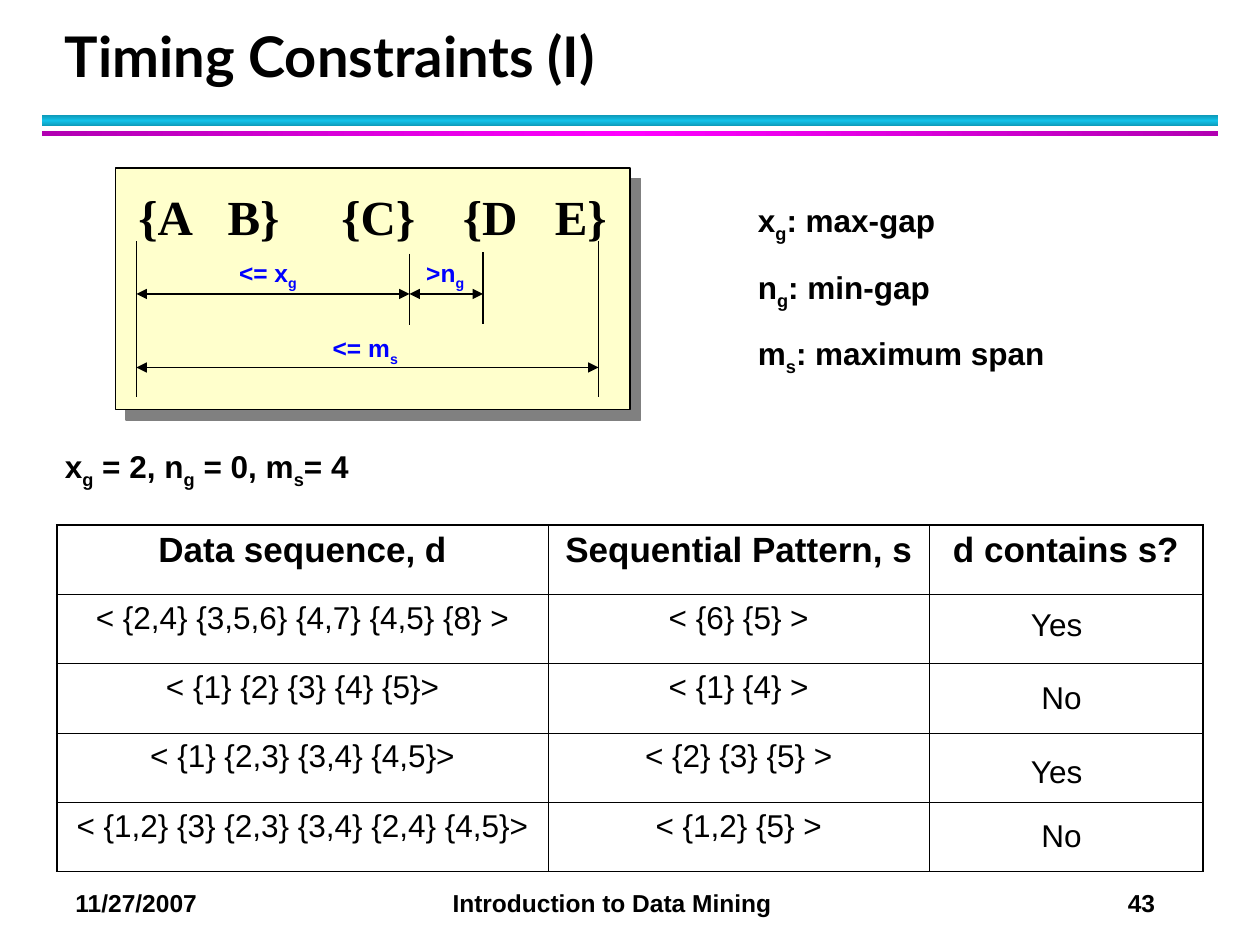
from dataclasses import dataclass

from pptx import Presentation
from pptx.dml.color import RGBColor
from pptx.enum import shapes, text
from pptx.oxml import parse_xml
from pptx.oxml.ns import nsdecls
from pptx.util import Pt


@dataclass(frozen=True)
class Theme:
    black: str = "000000"
    blue: str = "0000FF"
    cream: str = "FFFFCC"
    gray: str = "808080"
    cyan: tuple = ("0E9BBA", "12C2E9")
    magenta: tuple = ("B200B2", "FF00FF")
    title_font: str = "Lato"
    body_font: str = "Arial"
    pattern_font: str = "Times New Roman"
    title: int = 32
    pattern: int = 28
    header: int = 20
    body: int = 18
    small: int = 14
    line: float = 0.75
    outer_border: float = 1.08
    inner_border: float = 0.45


def element(xml):
    """Parse one drawing element, adding the namespace to its first tag."""
    tag, rest = xml.split(" ", 1)
    return parse_xml(f"{tag} {nsdecls('a')} {rest}")


class SlideBuilder:
    def __init__(self, page, theme):
        self.page = page
        self.theme = theme

    def fill_para(self, para, content, size, color=None, font=None, bold=True, tabs=()):
        """Fill a paragraph; every second part between bars is a subscript."""
        if tabs:
            stops = "".join(f'<a:tab pos="{Pt(x)}" algn="{align}"/>' for x, align in tabs)
            para._p.get_or_add_pPr().append(element(f"<a:tabLst >{stops}</a:tabLst>"))
        for index, part in enumerate(content.split("|")):
            span = para.add_run()
            span.text = part
            span.font.size = Pt(size)
            span.font.bold = bold
            span.font.name = font or self.theme.body_font
            span.font.color.rgb = RGBColor.from_string(color or self.theme.black)
            if index % 2:
                span._r.get_or_add_rPr().set("baseline", "-25000")

    def text(self, area, lines, size, fill=None, wrap=True, gap=0, **style):
        box = self.page.shapes.add_textbox(*map(Pt, area))
        frame = box.text_frame
        frame.word_wrap = wrap
        if fill:
            box.fill.solid()
            box.fill.fore_color.rgb = RGBColor.from_string(fill)
        for index, content in enumerate(lines):
            para = frame.add_paragraph() if index else frame.paragraphs[0]
            para.space_before = Pt(gap if index else 0)
            self.fill_para(para, content, size, **style)
        return box

    def band(self, area, colors, angle):
        bar = self.page.shapes.add_shape(shapes.MSO_SHAPE.RECTANGLE, *map(Pt, area))
        bar.shadow.inherit = False
        bar.line.fill.background()
        edge, middle = colors
        stops = "".join(
            f'<a:gs pos="{place}"><a:srgbClr val="{color}"/></a:gs>'
            for place, color in ((0, edge), (50000, middle), (100000, edge)))
        bar.fill.gradient()
        gradient = bar._element.spPr.find("{*}gradFill")
        gradient.getparent().replace(gradient, element(
            f'<a:gradFill rotWithShape="1"><a:gsLst>{stops}</a:gsLst>'
            f'<a:lin ang="{angle * 60000}" scaled="0"/></a:gradFill>'))

    def panel(self, area):
        panel = self.page.shapes.add_shape(shapes.MSO_SHAPE.RECTANGLE, *map(Pt, area))
        panel.shadow.inherit = False
        panel.fill.solid()
        panel.fill.fore_color.rgb = RGBColor.from_string(self.theme.cream)
        panel.line.color.rgb = RGBColor.from_string(self.theme.black)
        panel.line.width = Pt(self.theme.line)
        panel._element.spPr.find("{*}effectLst").append(element(
            f'<a:outerShdw dist="{Pt(8.5)}" dir="2700000" algn="ctr" rotWithShape="0">'
            f'<a:srgbClr val="{self.theme.gray}"/></a:outerShdw>'))

    def line(self, x1, y1, x2, y2, arrows=False):
        line = self.page.shapes.add_connector(
            shapes.MSO_CONNECTOR.STRAIGHT, *map(Pt, (x1, y1, x2, y2)))
        line.line.color.rgb = RGBColor.from_string(self.theme.black)
        line.line.width = Pt(self.theme.line)
        properties = line._element.spPr
        if arrows:
            for end in ("headEnd", "tailEnd"):
                properties.find("{*}ln").append(element(f'<a:{end} type="triangle"/>'))
        properties.append(element("<a:effectLst />"))

    def table(self, left, top, widths, row_height, rows):
        last_row, last_column = len(rows) - 1, len(widths) - 1
        grid = self.page.shapes.add_table(
            len(rows), len(widths), Pt(left), Pt(top),
            Pt(sum(widths)), Pt(row_height * len(rows))).table
        grid.first_row = grid.horz_banding = False
        for column, width in zip(grid.columns, widths):
            column.width = Pt(width)
        for r, row in enumerate(rows):
            grid.rows[r].height = Pt(row_height)
            for c, content in enumerate(row):
                cell = grid.cell(r, c)
                cell.fill.background()
                self.borders(cell, L=c == 0, R=c == last_column, T=r == 0, B=r == last_row)
                if content:
                    para = cell.text_frame.paragraphs[0]
                    para.alignment = text.PP_ALIGN.CENTER
                    size = self.theme.body if r else self.theme.header
                    self.fill_para(para, content, size, bold=r == 0)

    def borders(self, cell, **outer_sides):
        for index, (side, outer) in enumerate(outer_sides.items()):
            width = self.theme.outer_border if outer else self.theme.inner_border
            cell._tc.get_or_add_tcPr().insert(index, element(
                f'<a:ln{side} w="{Pt(width)}"><a:solidFill>'
                f'<a:srgbClr val="{self.theme.black}"/></a:solidFill></a:ln{side}>'))


def main():
    theme = Theme()
    deck = Presentation()
    deck.slide_width, deck.slide_height = Pt(720), Pt(540)
    slide = SlideBuilder(deck.slides.add_slide(deck.slide_layouts[6]), theme)

    # Title, rules and footer
    slide.band((24, 66, 672, 6), theme.cyan, 90)
    slide.band((24, 75, 672, 3), theme.magenta, 0)
    title = slide.text((30, 12, 652, 42), ["Timing Constraints (I)"],
                       theme.title, font=theme.title_font)
    title.text_frame.vertical_anchor = text.MSO_ANCHOR.BOTTOM
    title.text_frame.paragraphs[0].line_spacing = Pt(36)
    slide.text((36, 504, 672, 24.5), ["11/27/2007\tIntroduction to Data Mining\t43"],
               theme.small, tabs=((215.5, "l"), (617, "r")))

    # Timing diagram: panel, pattern and labels
    slide.panel((66, 96, 294, 138))
    pattern = slide.text((72, 103, 283, 41), ["{A\tB}\t{C}\t{D\tE}"], theme.pattern,
                         fill=theme.cream, font=theme.pattern_font,
                         tabs=((51, "l"), (116, "l"), (185.5, "l"), (238, "l")))
    pattern.text_frame.margin_right = 0
    for label, left, top, width in (("<= m|s", 183, 187, 52),
                                    ("<= x|g", 129.5, 144, 48),
                                    (">n|g", 236.5, 144, 36)):
        slide.text((left, top, width, 26.5), [label], theme.small,
                   fill=theme.cream, wrap=False, color=theme.blue)

    # Timing diagram: spans and their limits
    start, gap_start, gap_end, end = 78, 234, 276, 342
    for left, right, y in ((start, end, 210), (start, gap_start, 168),
                           (gap_start, gap_end, 168)):
        slide.line(left, y, right, y, arrows=True)
    for x, top, bottom in ((start, 138, 227), (gap_start, 145, 186),
                           (gap_end, 144, 185), (end, 138, 227)):
        slide.line(x, top, x, bottom)

    # Legend and parameter values
    slide.text((426, 111.5, 246, 108),
               ["x|g|: max-gap", "n|g|: min-gap", "m|s|: maximum span"],
               theme.body, gap=13.4)
    slide.text((30, 252, 618, 32), ["x|g| = 2, n|g| = 0, m|s|= 4"], theme.body)

    # Examples, with the answers laid over the last column
    slide.table(32.4, 300, (281, 217.5, 156.5), 39.6, (
        ("Data sequence, d", "Sequential Pattern, s", "d contains s?"),
        ("< {2,4} {3,5,6} {4,7} {4,5} {8} >", "< {6} {5} >", ""),
        ("< {1} {2} {3} {4} {5}>", "< {1} {4} >", ""),
        ("< {1} {2,3} {3,4} {4,5}>", "< {2} {3} {5} >", ""),
        ("< {1,2} {3} {2,3} {3,4} {2,4} {4,5}>", "< {1,2} {5} >", "")))
    for answer, left, top, width in (("Yes", 582, 342, 60), ("No", 588, 384, 42),
                                     ("Yes", 582, 426, 60), ("No", 588, 463, 42)):
        slide.text((left, top, width, 29), [answer], theme.body, bold=False)

    deck.save("out.pptx")


if __name__ == "__main__":
    main()
